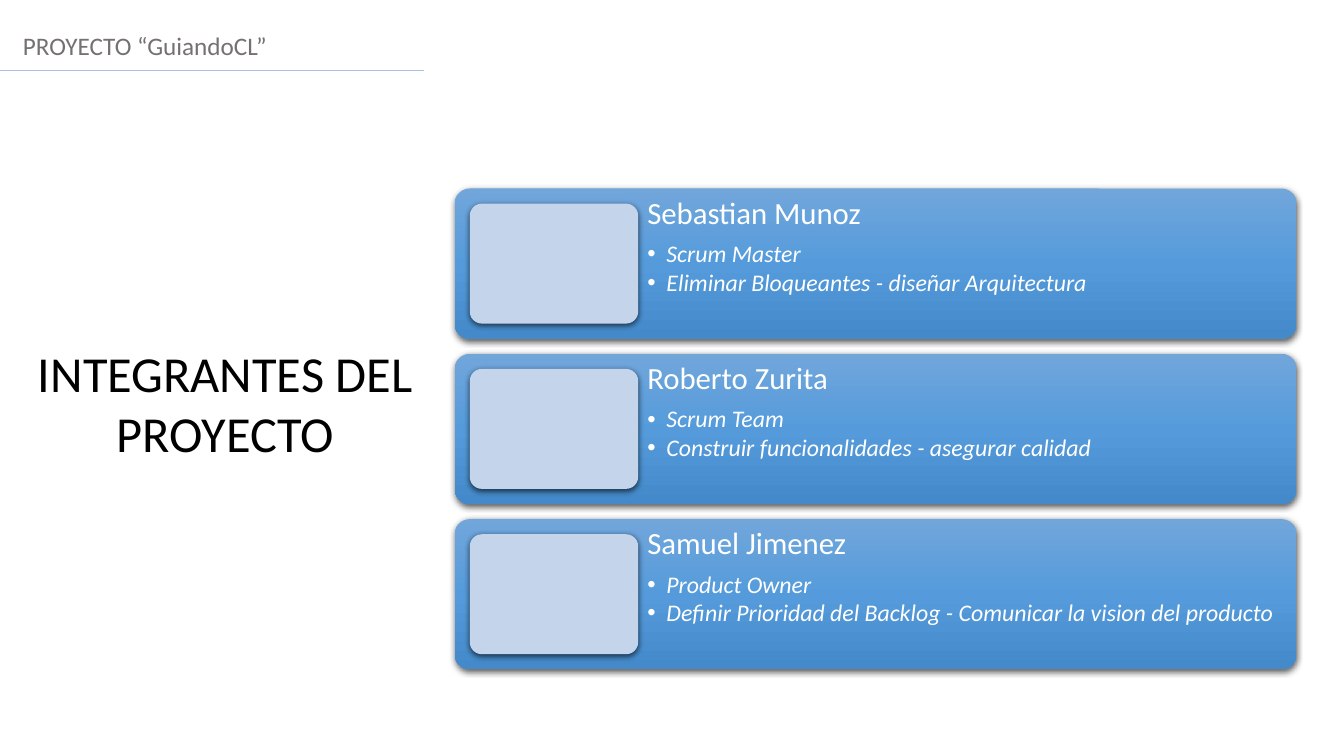
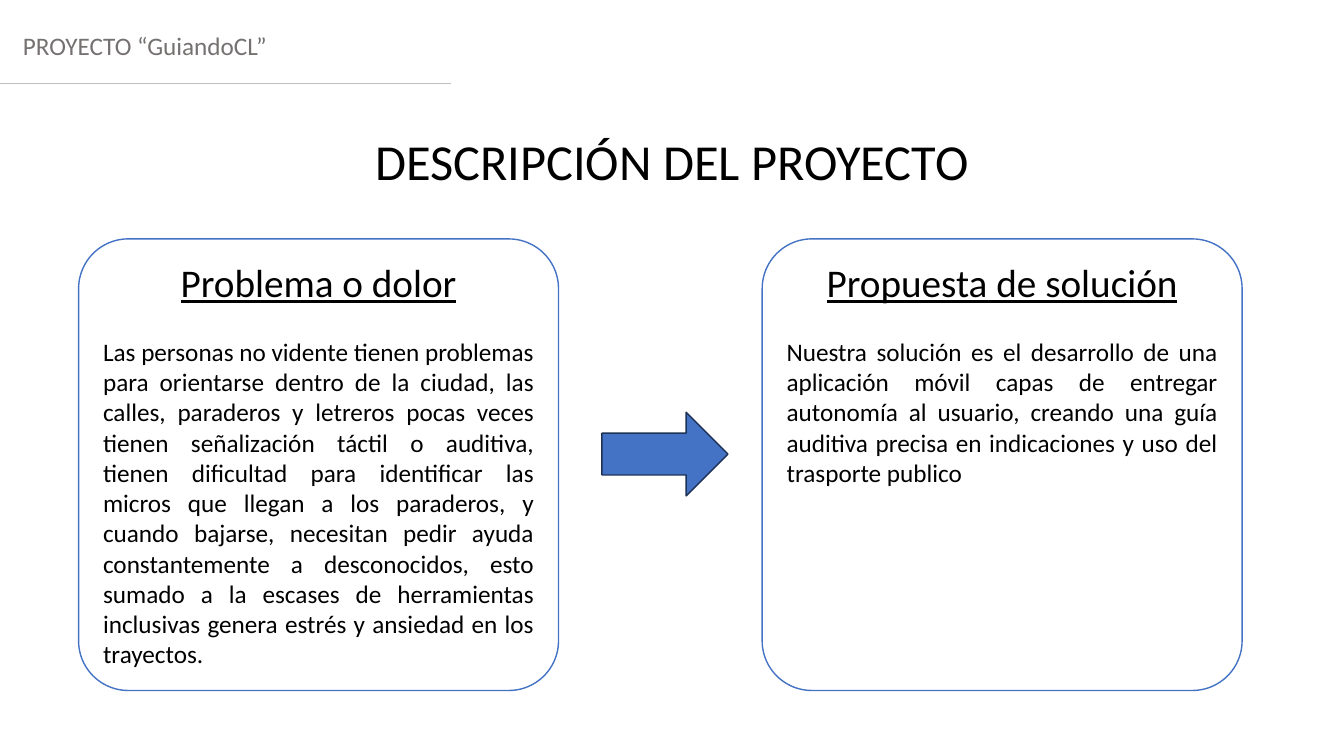
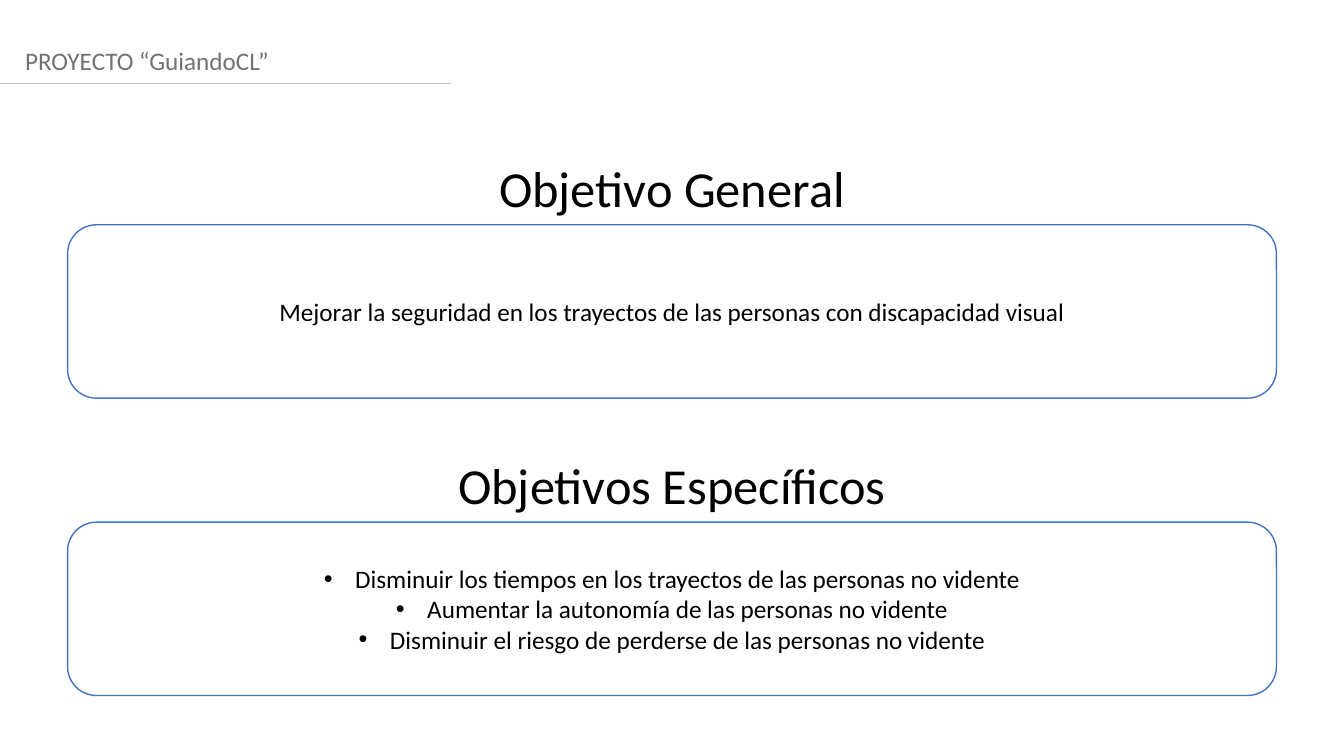
from dataclasses import dataclass
from typing import Any

from lxml import etree
from pptx import Presentation
from pptx import util as u
from pptx.dml.color import RGBColor
from pptx.enum import shapes, text
from pptx.oxml import ns

EMU_PER_PX = 9144  # 100 px to the inch
SLIDE_W, SLIDE_H = 1333, 750
TITLE_ONLY = 5

COLORS = {
    "white": "FFFFFF", "black": "000000", "header": "767171",
    "blue": "4472C4", "navy": "1E3256", "photo": "C4D5EB",
    "rule_blue": "ABC0E4", "rule_gray": "BFBFBF",
}
CARD_GRADIENT = ((0, "71A6DB"), (50, "559BDB"), (100, "448ACA"))

# Text styles: colour key plus font attributes
STYLES: dict[str, dict[str, Any]] = {
    "header": {"color": "header", "size": 18},
    "title": {"color": "black", "size": 36},
    "subtitle": {"color": "black", "size": 28, "underline": True},
    "body": {"color": "black", "size": 18},
    "member": {"color": "white", "size": 22},
    "role": {"color": "white", "size": 17, "italic": True},
}
LEFT, CENTER, JUSTIFY = (text.PP_ALIGN.LEFT, text.PP_ALIGN.CENTER,
                         text.PP_ALIGN.JUSTIFY)
TOP, MIDDLE = text.MSO_ANCHOR.TOP, text.MSO_ANCHOR.MIDDLE
ROUNDED = shapes.MSO_SHAPE.ROUNDED_RECTANGLE


@dataclass(frozen=True)
class Box:
    left: int
    top: int
    width: int
    height: int

    def emu(self) -> tuple[u.Emu, ...]:
        return tuple(map(px, (self.left, self.top, self.width, self.height)))


@dataclass(frozen=True)
class Line:
    words: str
    style: str
    align: Any = LEFT
    after: int = 0
    spacing: float = 1.0
    bullet_indent: int = 0


@dataclass(frozen=True)
class Member:
    name: str
    role: str
    duty: str


@dataclass(frozen=True)
class Panel:
    left: int
    heading: str
    body: str


@dataclass(frozen=True)
class Goal:
    title_top: int
    title: str
    items: tuple[str, ...]


MEMBERS = (
    Member("Sebastian Munoz", "Scrum Master",
           "Eliminar Bloqueantes - diseñar Arquitectura"),
    Member("Roberto Zurita", "Scrum Team",
           "Construir funcionalidades - asegurar calidad"),
    Member("Samuel Jimenez", "Product Owner",
           "Definir Prioridad del Backlog - Comunicar la vision del producto"),
)
PANELS = (
    Panel(78, "Problema o dolor",
          "Las personas no vidente tienen problemas para orientarse dentro de "
          "la ciudad, las calles, paraderos y letreros pocas veces tienen "
          "señalización táctil o auditiva, tienen dificultad para identificar "
          "las micros que llegan a los paraderos, y cuando bajarse, necesitan "
          "pedir ayuda constantemente a desconocidos, esto sumado a la escases "
          "de herramientas inclusivas genera estrés y ansiedad en los "
          "trayectos."),
    Panel(756, "Propuesta de solución",
          "Nuestra solución es el desarrollo de una aplicación móvil capas de "
          "entregar autonomía al usuario, creando una guía auditiva precisa en "
          "indicaciones y uso del trasporte publico"),
)
GOALS = (
    Goal(151, "Objetivo General",
         ("Mejorar la seguridad en los trayectos de las personas con "
          "discapacidad visual",)),
    Goal(446, "Objetivos Específicos",
         ("Disminuir los tiempos en los trayectos de las personas no vidente",
          "Aumentar la autonomía de las personas no vidente",
          "Disminuir el riesgo de perderse de las personas no vidente")),
)


def px(length: int) -> u.Emu:
    return u.Emu(length * EMU_PER_PX)


def rgb(key: str) -> RGBColor:
    return RGBColor.from_string(COLORS[key])


def add_xml(parent: Any, tag: str, **attributes: str) -> Any:
    return etree.SubElement(parent, ns.qn(tag), attributes)


def apply(target: Any, values: dict[str, Any]) -> None:
    for attribute, value in values.items():
        setattr(target, attribute, value)


def write(shape: Any, lines: list[Line], anchor: Any = TOP, inset: int = 10) -> None:
    frame = shape.text_frame
    side, edge = px(inset), px(min(inset, 9) if inset < 10 else 5)
    apply(frame, {"word_wrap": True, "auto_size": text.MSO_AUTO_SIZE.NONE,
                  "vertical_anchor": anchor, "margin_left": side,
                  "margin_right": side, "margin_top": edge,
                  "margin_bottom": edge})
    for index, line in enumerate(lines):
        para = frame.add_paragraph() if index else frame.paragraphs[0]
        apply(para, {"alignment": line.align, "line_spacing": line.spacing,
                     "space_before": u.Pt(0), "space_after": u.Pt(line.after)})
        if line.bullet_indent:
            indent = px(line.bullet_indent)
            props = para._p.get_or_add_pPr()
            props.set("marL", str(indent))
            props.set("indent", str(-indent))
            add_xml(props, "a:buFont", typeface="Arial")
            add_xml(props, "a:buChar", char="•")
        run = para.add_run()
        run.text = line.words
        style = dict(STYLES[line.style])
        run.font.color.rgb = rgb(style.pop("color"))
        apply(run.font, style | {"name": "Calibri", "size": u.Pt(style["size"])})


def add_text(slide: Any, box: Box, lines: list[Line], inset: int = 10) -> None:
    write(slide.shapes.add_textbox(*box.emu()), lines, inset=inset)


def add_block(slide: Any, kind: Any, box: Box, fill: str,
              outline: str = "", corner: float | None = None) -> Any:
    block = slide.shapes.add_shape(kind, *box.emu())
    block.shadow.inherit = False
    block.fill.solid()
    block.fill.fore_color.rgb = rgb(fill)
    if outline:
        block.line.color.rgb = rgb(outline)
        block.line.width = u.Pt(1)
    else:
        block.line.fill.background()
    if corner is not None:
        block.adjustments[0] = corner
    return block


def add_soft_shadow(block: Any) -> None:
    effects = block._element.spPr.find(ns.qn("a:effectLst"))
    shadow = add_xml(effects, "a:outerShdw", blurRad=str(u.Pt(4.5)),
                     dist=str(u.Pt(1.5)), dir="5400000", rotWithShape="0")
    color = add_xml(shadow, "a:srgbClr", val=COLORS["black"])
    add_xml(color, "a:alpha", val="63000")


def set_card_gradient(block: Any) -> None:
    block.fill.gradient()
    block.fill.gradient_angle = 270
    stops = block._element.spPr.find(".//" + ns.qn("a:gsLst"))
    for stop in list(stops):
        stops.remove(stop)
    for percent, color in CARD_GRADIENT:
        stop = add_xml(stops, "a:gs", pos=str(percent * 1000))
        add_xml(stop, "a:srgbClr", val=color)


def start_slide(deck: Any, title: str, title_box: Box, header_at: tuple[int, int],
                rule: tuple[int, int, str, float]) -> Any:
    """Title, project header and the rule beneath it."""
    slide = deck.slides.add_slide(deck.slide_layouts[TITLE_ONLY])
    heading = slide.shapes.title
    apply(heading, dict(zip(("left", "top", "width", "height"), title_box.emu())))
    write(heading, [Line(title, "title", CENTER)])
    add_text(slide, Box(*header_at, 434, 40),
             [Line("PROYECTO “GuiandoCL”", "header")])
    end, top, color, weight = rule
    underline = slide.shapes.add_connector(
        shapes.MSO_CONNECTOR.STRAIGHT, *map(px, (0, top, end, top)))
    underline.line.color.rgb = rgb(color)
    underline.line.width = u.Pt(weight)
    add_xml(underline._element.spPr, "a:effectLst")
    return slide


def add_member(slide: Any, member: Member, top: int) -> None:
    card = add_block(slide, ROUNDED, Box(451, top, 835, 149), "blue", corner=0.1)
    set_card_gradient(card)
    add_soft_shadow(card)
    add_text(slide, Box(633, top, 653, 149), [
        Line(member.name, "member", after=8, spacing=0.9),
        *(Line(words, "role", after=2, spacing=0.9, bullet_indent=19)
          for words in (member.role, member.duty)),
    ], inset=9)
    photo = add_block(slide, ROUNDED, Box(466, top + 15, 167, 119), "photo",
                      corner=0.1)
    add_soft_shadow(photo)


def build_team(deck: Any) -> None:
    slide = start_slide(deck, "INTEGRANTES DEL PROYECTO", Box(26, 334, 395, 131),
                        (13, 25), (421, 70, "rule_blue", 1.25))
    for index, member in enumerate(MEMBERS):
        add_member(slide, member, 187 + 164 * index)


def build_description(deck: Any) -> None:
    slide = start_slide(deck, "DESCRIPCIÓN DEL PROYECTO",
                        Box(0, 124, SLIDE_W, 71), (13, 25),
                        (447, 83, "rule_gray", 0.75))
    for panel in PANELS:
        frame = add_block(slide, ROUNDED, Box(panel.left, 237, 476, 448),
                          "white", "blue", 0.11)
        write(frame, [Line(panel.heading, "subtitle", CENTER, after=22),
                      Line(panel.body, "body", JUSTIFY)])
    add_block(slide, shapes.MSO_SHAPE.RIGHT_ARROW, Box(597, 409, 125, 83),
              "blue", "navy")


def build_goals(deck: Any) -> None:
    general, specific = GOALS
    slide = start_slide(deck, general.title,
                        Box(0, general.title_top, SLIDE_W, 71), (15, 40),
                        (447, 83, "rule_gray", 0.75))
    add_text(slide, Box(0, specific.title_top, SLIDE_W, 71),
             [Line(specific.title, "title", CENTER)])
    for goal in GOALS:
        frame = add_block(slide, ROUNDED, Box(67, goal.title_top + 72, 1199, 172),
                          "white", "blue")
        indent = 31 if len(goal.items) > 1 else 0
        write(frame, [Line(item, "body", CENTER, bullet_indent=indent)
                      for item in goal.items], MIDDLE)


def main() -> None:
    deck = Presentation()
    deck.slide_width, deck.slide_height = px(SLIDE_W), px(SLIDE_H)
    for build in (build_team, build_description, build_goals):
        build(deck)
    deck.save("out.pptx")


if __name__ == "__main__":
    main()
